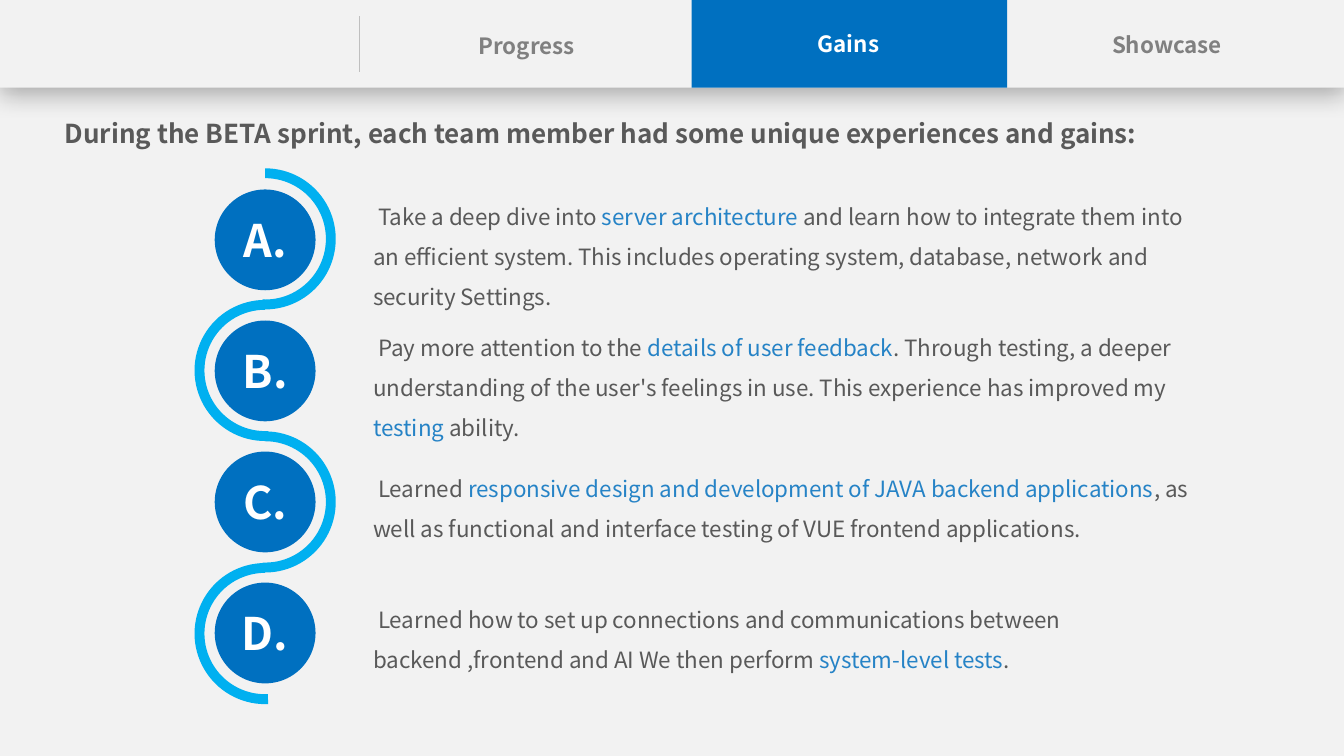
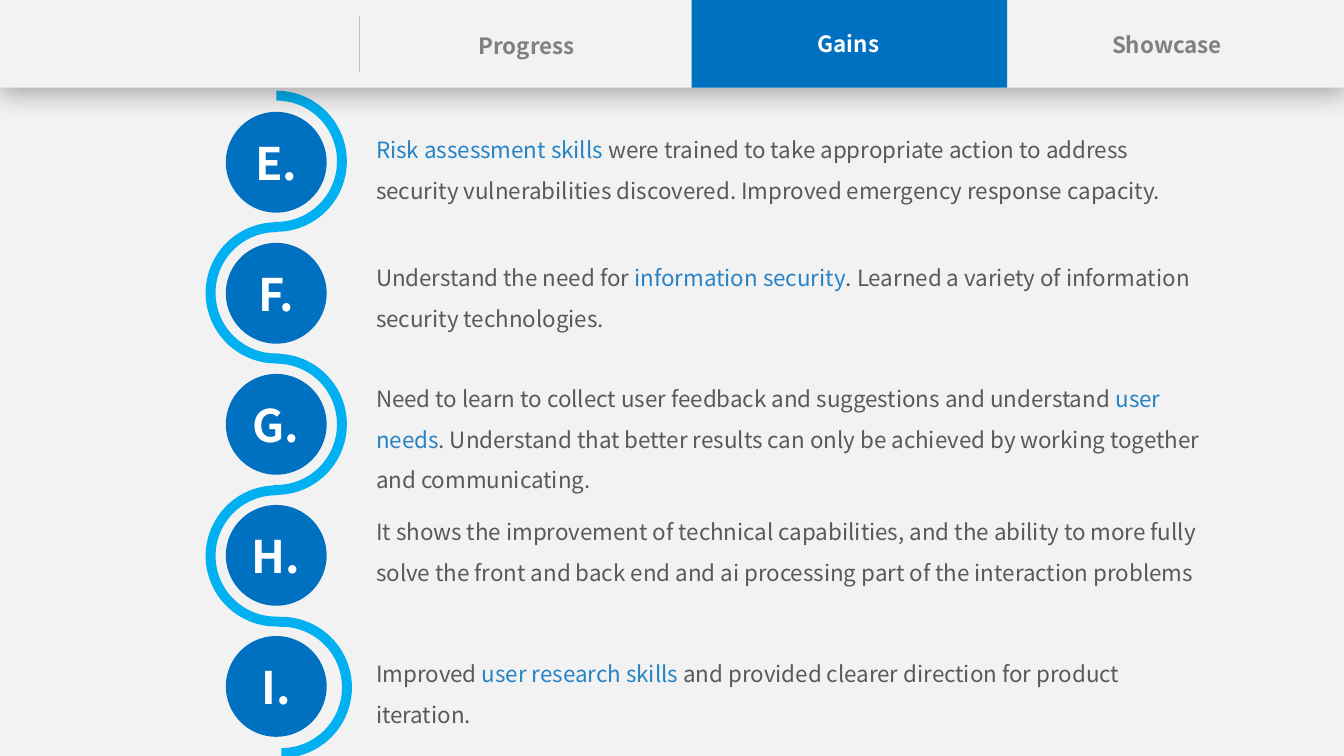
from lxml.etree import SubElement
from pptx import Presentation
from pptx.dml.color import RGBColor
from pptx.enum.shapes import MSO_CONNECTOR, MSO_SHAPE
from pptx.enum.text import MSO_ANCHOR, MSO_AUTO_SIZE, PP_ALIGN
from pptx.oxml.ns import qn
from pptx.util import Inches, Pt

FONT = "Noto Sans CJK SC"
PAPER, WHITE, BLACK = "F2F2F2", "FFFFFF", "000000"
BLUE, SKY, ACCENT = "0070C0", "00B0F0", "2683C6"
TEXT, MUTED, RULE = "595959", "808080", "BFBFBF"

SLIDE_WIDTH, SLIDE_HEIGHT = 13.33, 7.5
HEADER_HEIGHT = 0.87
PITCH = 1.305
ARC_SIZE, CIRCLE_SIZE = 1.4, 1
TEXT_WIDTH, LINE_HEIGHT = 8.28, 0.4

# Arc ends in units of 100000 / 60000 degrees; one end overlaps by 2.5 degrees
ARC_LONG_END = (108, 1.5, 0.07)
ARC_LONG_START = (106.5, 0, 0.07)

# Tabs: label, left, top, colour
TABS = [
    ("Progress", 4.49, 0.27, MUTED),
    ("Gains", 7.68, 0.25, WHITE),
    ("Showcase", 10.84, 0.26, MUTED),
]

# Gains: letter, text top, lines, text with highlights between asterisks
TEAM_GAINS = [
    ("A", 1.88, 3, "Take a deep dive into *server architecture *and learn how to "
     "integrate them into an efficient system. This includes operating system, "
     "database, network and security Settings."),
    ("B", 3.18, 3, "Pay more attention to the *details of user feedback*. Through "
     "testing, a deeper understanding of the user's feelings in use. This "
     "experience has improved my *testing* ability."),
    ("C", 4.58, 2, "Learned *responsive design and development of JAVA backend "
     "applications*, as well as functional and interface testing of VUE frontend "
     "applications."),
    ("D", 5.88, 2, "Learned how to set up connections and communications between "
     "backend ,frontend and AI We then perform *system-level tests*."),
]
MORE_GAINS = [
    ("E", 1.22, 2, "*Risk assessment skills *were trained to take appropriate action "
     "to address security vulnerabilities discovered. Improved emergency response "
     "capacity."),
    ("F", 2.49, 2, "Understand the need for *information security*. Learned a variety "
     "of information security technologies."),
    ("G", 3.69, 3, "Need to learn to collect user feedback and suggestions and "
     "understand *user needs*. Understand that better results can only be achieved "
     "by working together and communicating."),
    ("H", 5.01, 2, "It shows the improvement of technical capabilities, and the "
     "ability to more fully solve the front and back end and ai processing part of "
     "the interaction problems"),
    ("I", 6.42, 2, "Improved *user research skills *and provided clearer direction "
     "for product iteration."),
]


def color(value):
    return RGBColor.from_string(value)


class Deck:
    def __init__(self):
        self.presentation = Presentation()
        self.presentation.slide_width = Inches(SLIDE_WIDTH)
        self.presentation.slide_height = Inches(SLIDE_HEIGHT)
        background = self.presentation.slide_master.background.fill
        background.solid()
        background.fore_color.rgb = color(PAPER)
        self.slide = None

    def new_slide(self, title=None):
        layout = self.presentation.slide_layouts[5 if title else 6]
        self.slide = self.presentation.slides.add_slide(layout)
        if title:
            self.title(title)

    def run(self, paragraph, text, size, ink, bold=False):
        run = paragraph.add_run()
        run.text = text
        run.font.name = FONT
        run.font.size = Pt(size)
        run.font.bold = bold
        run.font.color.rgb = color(ink)

    def frame(self, shape, vertical_inset=0.0):
        frame = shape.text_frame
        frame.word_wrap = True
        frame.auto_size = MSO_AUTO_SIZE.SHAPE_TO_FIT_TEXT
        frame.vertical_anchor = MSO_ANCHOR.TOP
        frame.margin_left = frame.margin_right = 0
        frame.margin_top = frame.margin_bottom = Inches(vertical_inset)
        return frame

    def title(self, text):
        shape = self.slide.shapes.title
        shape.left, shape.top = Inches(0.41), Inches(1.12)
        shape.width, shape.height = Inches(11.1), Inches(0.42)
        paragraph = self.frame(shape, 0.05).paragraphs[0]
        paragraph.alignment = PP_ALIGN.CENTER
        self.run(paragraph, text, 18.6, TEXT, True)

    def shape(self, kind, left, top, width, height, fill):
        shape = self.slide.shapes.add_shape(
            kind, Inches(left), Inches(top), Inches(width), Inches(height))
        shape.shadow.inherit = False
        shape.fill.solid()
        shape.fill.fore_color.rgb = color(fill)
        shape.line.fill.background()
        return shape

    def text_box(self, left, top, width, height, vertical_inset=0.0):
        box = self.slide.shapes.add_textbox(
            Inches(left), Inches(top), Inches(width), Inches(height))
        return self.frame(box, vertical_inset).paragraphs[0]

    def arc(self, left, top, rotation, adjustments):
        arc = self.shape(MSO_SHAPE.BLOCK_ARC, left, top, ARC_SIZE, ARC_SIZE, SKY)
        arc.rotation = rotation
        for index, value in enumerate(adjustments):
            arc.adjustments[index] = value

    def badge(self, left, top, letter):
        circle = self.shape(MSO_SHAPE.OVAL, left, top, CIRCLE_SIZE, CIRCLE_SIZE, BLUE)
        circle.text_frame.vertical_anchor = MSO_ANCHOR.MIDDLE
        paragraph = circle.text_frame.paragraphs[0]
        paragraph.alignment = PP_ALIGN.CENTER
        self.run(paragraph, f"{letter}.", 32, WHITE, True)

    def gain_text(self, left, top, lines, text, indent):
        paragraph = self.text_box(left, top, TEXT_WIDTH, lines * LINE_HEIGHT)
        paragraph.line_spacing = 1.5
        paragraph._p.get_or_add_pPr().set("indent", str(Inches(indent)))
        for index, part in enumerate(text.split("*")):
            if part:
                self.run(paragraph, part, 16, ACCENT if index % 2 else TEXT)

    def chain(self, gains, left, top, text_left, indent=0.0):
        # Arcs alternate right and left; a fifth one closes the chain
        for index in range(len(gains)):
            closing = index == 4
            on_left = index % 2 == 1
            self.arc(left + (0.05 if closing else 0), top + index * PITCH,
                     270 if on_left else 90,
                     ARC_LONG_START if on_left or closing else ARC_LONG_END)
        for index, (letter, text_top, lines, text) in enumerate(gains):
            self.badge(left + 0.2, top + 0.21 + index * 1.3, letter)
            self.gain_text(text_left, text_top, lines, text, indent)

    def soft_shadow(self, shape):
        effects = shape._element.spPr.find(qn("a:effectLst"))
        shadow = SubElement(effects, qn("a:outerShdw"), blurRad=str(Pt(18)),
                            dist=str(Pt(4)), dir="5400000", algn="t", rotWithShape="0")
        ink = SubElement(shadow, qn("a:srgbClr"), val=BLACK)
        SubElement(ink, qn("a:alpha"), val="29000")

    def divider(self, left, top, bottom):
        line = self.slide.shapes.add_connector(
            MSO_CONNECTOR.STRAIGHT, Inches(left), Inches(top), Inches(left), Inches(bottom))
        line.line.color.rgb = color(RULE)
        line.line.width = Pt(0.5)
        SubElement(line._element.spPr, qn("a:effectLst"))

    def header(self):
        band = self.shape(MSO_SHAPE.RECTANGLE, 0, 0, SLIDE_WIDTH, HEADER_HEIGHT, PAPER)
        self.soft_shadow(band)
        self.divider(3.56, 0.16, 0.71)
        self.shape(MSO_SHAPE.RECTANGLE, 6.86, 0, 3.13, HEADER_HEIGHT, BLUE)
        for label, left, top, ink in TABS:
            paragraph = self.text_box(left, top, 1.47, 0.38, 0.05)
            paragraph.alignment = PP_ALIGN.CENTER
            self.run(paragraph, label, 16, ink, True)


def main():
    deck = Deck()

    # Gains A to D
    deck.new_slide("During the BETA sprint, each team member had some unique "
                   "experiences and gains:")
    deck.chain(TEAM_GAINS, 1.93, 1.67, 3.7, indent=0.05)
    deck.header()

    # Gains E to I
    deck.new_slide()
    deck.chain(MORE_GAINS, 2.04, 0.9, 3.73)
    deck.header()

    deck.presentation.save("out.pptx")


if __name__ == "__main__":
    main()
